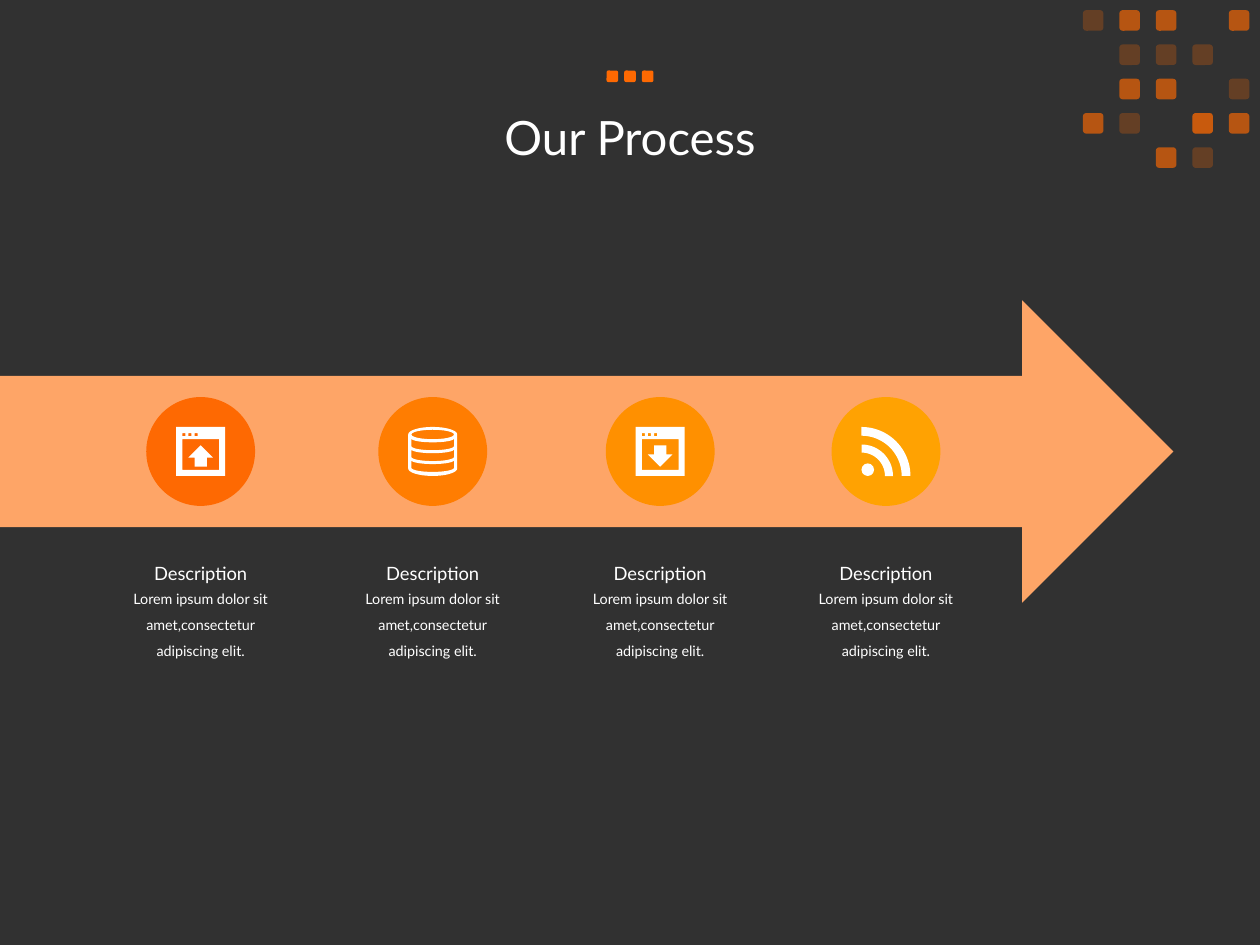
from dataclasses import dataclass
from math import cos, radians, sin

from lxml.etree import SubElement
from pptx import Presentation
from pptx.dml.color import RGBColor
from pptx.enum.shapes import MSO_SHAPE
from pptx.enum.text import MSO_ANCHOR, PP_ALIGN
from pptx.oxml.ns import qn
from pptx.util import Pt


@dataclass(frozen=True)
class Theme:
    back: str = "313131"
    white: str = "FFFFFF"
    main: str = "FE6902"
    arrow: str = "FEA567"
    steps: tuple = ("FE6902", "FF7D01", "FF9000", "FFA202")
    font: str = "Lato"
    title: float = 27
    head: float = 10.5
    body: float = 8.2


class Deck:
    def __init__(self, theme, wide, high):
        self.theme = theme
        self.prs = Presentation()
        self.prs.slide_width, self.prs.slide_height = Pt(wide), Pt(high)
        self.slide = self.prs.slides.add_slide(self.prs.slide_layouts[6])
        fill = self.slide.background.fill
        fill.solid()
        fill.fore_color.rgb = RGBColor.from_string(theme.back)

    def paint(self, shape, color, alpha=None):
        shape.shadow.inherit = False
        shape.fill.solid()
        shape.fill.fore_color.rgb = RGBColor.from_string(color)
        shape.line.fill.background()
        if alpha:
            tone = shape.element.spPr.find(qn("a:solidFill"))[0]
            SubElement(tone, qn("a:alpha"), val=str(alpha * 1000))

    def shape(self, kind, x, y, w, h, color, alpha=None):
        item = self.slide.shapes.add_shape(kind, Pt(x), Pt(y), Pt(w), Pt(h))
        self.paint(item, color, alpha)

    def outline(self, x, y, loops):
        """Draw closed loops as one white shape; inner loops are holes."""
        loops = [[(Pt(x + a), Pt(y + b)) for a, b in loop] for loop in loops]
        pen = self.slide.shapes.build_freeform(*loops[0][0])
        for i, loop in enumerate(loops):
            if i:
                pen.move_to(*loop[0])
            pen.add_line_segments(loop[1:], close=True)
        self.paint(pen.convert_to_shape(), self.theme.white)

    def text(self, words, x, y, w, h, size, wrap=True, space=1.0, **frame):
        box = self.slide.shapes.add_textbox(Pt(x), Pt(y), Pt(w), Pt(h))
        tf = box.text_frame
        para = tf.paragraphs[0]
        para.text = words
        para.font.color.rgb = RGBColor.from_string(self.theme.white)
        parts = (
            (tf, {"word_wrap": wrap, **frame}),
            (para, {"alignment": PP_ALIGN.CENTER, "line_spacing": space}),
            (para.font, {"name": self.theme.font, "size": Pt(size)}),
        )
        for part, values in parts:
            for key, value in values.items():
                setattr(part, key, value)


def rect(x, y, w, h):
    return [(x, y), (x + w, y), (x + w, y + h), (x, y + h)]


def arc(x, y, rx, ry, start, end, steps=24):
    turns = [radians(start + (end - start) * i / steps) for i in range(steps + 1)]
    return [(x + rx * cos(t), y + ry * sin(t)) for t in turns]


# Icons, each with its top left corner at x, y
SIDE = 28


def window(deck, x, y, up):
    dots = [rect(3.5 * i, 3.5, 1.75, 1.75) for i in (1, 2, 3)]
    deck.outline(x, y, [rect(0, 0, SIDE, SIDE), *dots, rect(3.5, 7, 21, 17.5)])
    top, neck, tip = (22.75, 17.5, 10.5) if up else (10.5, 15.75, 22.75)
    deck.outline(x, y, [[(10.5, top), (17.5, top), (17.5, neck), (21, neck),
                         (14, tip), (7, neck), (10.5, neck)]])


def store(deck, x, y):
    shell = arc(14, 4.3, 14, 4.3, 180, 360) + arc(14, 23.7, 14, 4.3, 0, 180)
    lid = arc(14, 4.3, 12.2, 2.7, 0, 360)
    bands = [arc(14, top, 12.2, 2.2, 180, 0) + arc(14, top + 4.3, 12.2, 2.4, 0, 180)
             for top in (6.6, 12.8, 19)]
    deck.outline(x, y, [shell, lid, *bands])


def feed(deck, x, y):
    deck.shape(MSO_SHAPE.OVAL, x, y + 20.8, 7.2, 7.2, deck.theme.white)
    for far, near in ((18, 13.4), (28, 23)):
        deck.outline(x, y, [arc(0, SIDE, far, far, -90, 0)
                            + arc(0, SIDE, near, near, 0, -90)])


def main():
    theme = Theme()
    deck = Deck(theme, 720, 540)

    # Title with three small squares
    deck.text("Our Process", 49.7, 28, 620.6, 104.4, theme.title, space=0.9,
              vertical_anchor=MSO_ANCHOR.MIDDLE)
    for i in range(3):
        deck.shape(MSO_SHAPE.ROUNDED_RECTANGLE, 346.6 + 10.1 * i, 40.3, 6.6, 6.6,
                   theme.main)

    # Corner grid: o faint, # strong, @ strong under faint
    tones = {" ": (), "o": (25,), "#": (65,), "@": (65, 25)}
    for row, line in enumerate(("o## #", " ooo ", " ## o", "#o @#", "  #o ")):
        for col, mark in enumerate(line):
            for alpha in tones[mark]:
                deck.shape(MSO_SHAPE.ROUNDED_RECTANGLE, 618.8 + 20.85 * col,
                           5.8 + 19.6 * row, 11.8, 11.8, theme.main, alpha)

    # Arrow band
    deck.shape(MSO_SHAPE.NOTCHED_RIGHT_ARROW, -43.9, 171.6, 714.4, 172.8, theme.arrow)

    # Steps: disc, icon, heading and text around one centre
    mid, disc = 258, 62.2
    icons = ((window, True), (store,), (window, False), (feed,))
    for x, color, (icon, *args) in zip((114.7, 247.3, 377.3, 506.3), theme.steps, icons):
        deck.shape(MSO_SHAPE.OVAL, x - disc / 2, mid - disc / 2, disc, disc, color)
        icon(deck, x - SIDE / 2, mid - SIDE / 2, *args)
        deck.text("Description", x - 35.6, 317.5, 71.2, 20.2, theme.head, wrap=False)
        deck.text("Lorem ipsum dolor sit amet,consectetur adipiscing elit.",
                  x - 53.6, 329.8, 107.2, 50.4, theme.body, space=1.5,
                  margin_top=Pt(2.7), margin_bottom=Pt(2.7))

    deck.prs.save("out.pptx")


if __name__ == "__main__":
    main()
